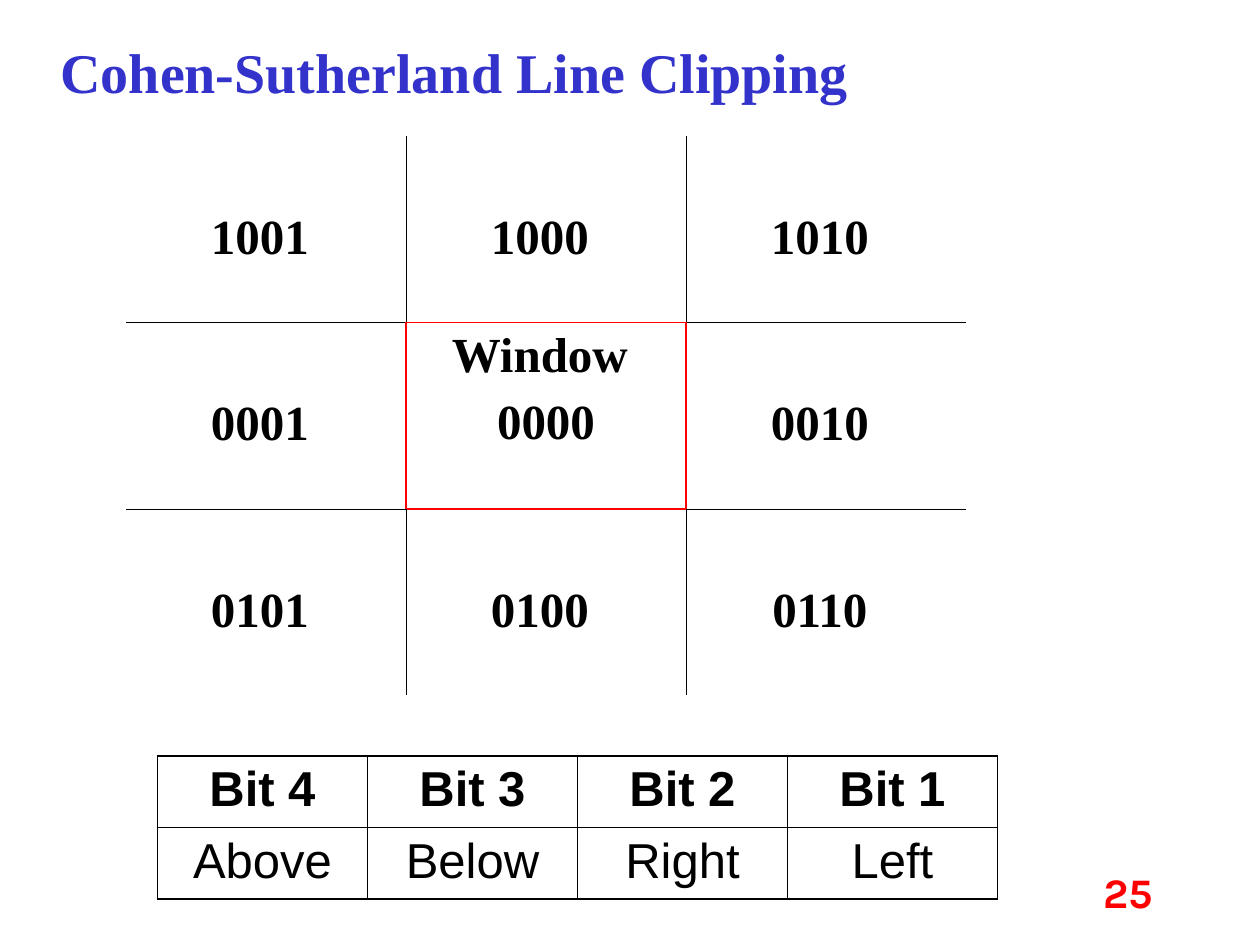
from lxml.etree import SubElement
from pptx import Presentation
from pptx.dml.color import RGBColor
from pptx.enum.text import MSO_ANCHOR, MSO_AUTO_SIZE, PP_ALIGN
from pptx.oxml.ns import qn
from pptx.util import Inches, Pt

COLORS = {"title": "3333CC", "ink": "000000", "window": "FF0000"}
SIDES = {"L": (0, -1), "R": (0, 1), "T": (-1, 0), "B": (1, 0)}


def style(paragraph, font, size, color, bold, align):
    paragraph.alignment = align
    paragraph.font.name = font
    paragraph.font.size = Pt(size)
    paragraph.font.bold = bold
    paragraph.font.color.rgb = RGBColor.from_string(COLORS[color])


def border(cell, side, color, width):
    line = SubElement(cell._tc.get_or_add_tcPr(), qn(f"a:ln{side}"), w=str(Pt(width)))
    if color is None:
        SubElement(line, qn("a:noFill"))
    else:
        fill = SubElement(line, qn("a:solidFill"))
        SubElement(fill, qn("a:srgbClr"), val=COLORS[color])


prs = Presentation()
prs.slide_width, prs.slide_height = Inches(10), Inches(7.5)
slide = prs.slides.add_slide(prs.slide_layouts[5])

title = slide.shapes.title
title.left, title.top, title.width, title.height = map(Inches, (0.38, 0.25, 9.25, 0.64))
title.text_frame.text = "Cohen-Sutherland Line Clipping "
title.text_frame.vertical_anchor = MSO_ANCHOR.TOP
title.text_frame.auto_size = MSO_AUTO_SIZE.SHAPE_TO_FIT_TEXT
style(title.text_frame.paragraphs[0], "Times New Roman", 32, "title", True, PP_ALIGN.JUSTIFY)

bits = [["Bit 4", "Bit 3", "Bit 2", "Bit 1"], ["Above", "Below", "Right", "Left"]]
regions = [
    ["1001 ", "1000 ", "1010 "],
    ["0001 ", "Window \n0000", "0010 "],
    ["0101 ", "0100 ", "0110 "],
]
window = (1, 1)
table_width = prs.slide_width * 2 // 3

for texts, left, top, height, font in (
    (bits, 1.25, 6, 1.13, "Arial"),
    (regions, 1, 1.08, 4.44, "Times New Roman"),
):
    rows, columns = len(texts), len(texts[0])
    table = slide.shapes.add_table(
        rows, columns, Inches(left), Inches(top), table_width, Inches(height)
    ).table
    table.first_row = table.horz_banding = False
    for row, labels in enumerate(texts):
        for column, label in enumerate(labels):
            cell = table.cell(row, column)
            cell.text = label
            if texts is regions and (row, column) != window:
                cell.margin_top = Inches(0.59)
            for paragraph in cell.text_frame.paragraphs:
                bold = texts is regions or row == 0
                style(paragraph, font, 28, "ink", bold, PP_ALIGN.CENTER)
                paragraph.space_before = Pt(7)
            for side, (down, across) in SIDES.items():
                neighbor = (row + down, column + across)
                outer = not (0 <= neighbor[0] < rows and 0 <= neighbor[1] < columns)
                if texts is bits:
                    border(cell, side, "ink", 1.08 if outer else 0.45)
                elif outer:
                    border(cell, side, None, 0.45)
                elif window in ((row, column), neighbor):
                    border(cell, side, "window", 1.08)
                else:
                    border(cell, side, "ink", 0.45)
            cell.fill.background()

page_number = slide.shapes.add_textbox(Inches(7.17), Inches(6.83), Inches(2.08), Inches(0.5))
page_number.text_frame.word_wrap = True
page_number.text_frame.text = "25"
style(page_number.text_frame.paragraphs[0], "Karla", 24, "window", True, PP_ALIGN.RIGHT)

prs.save("out.pptx")
